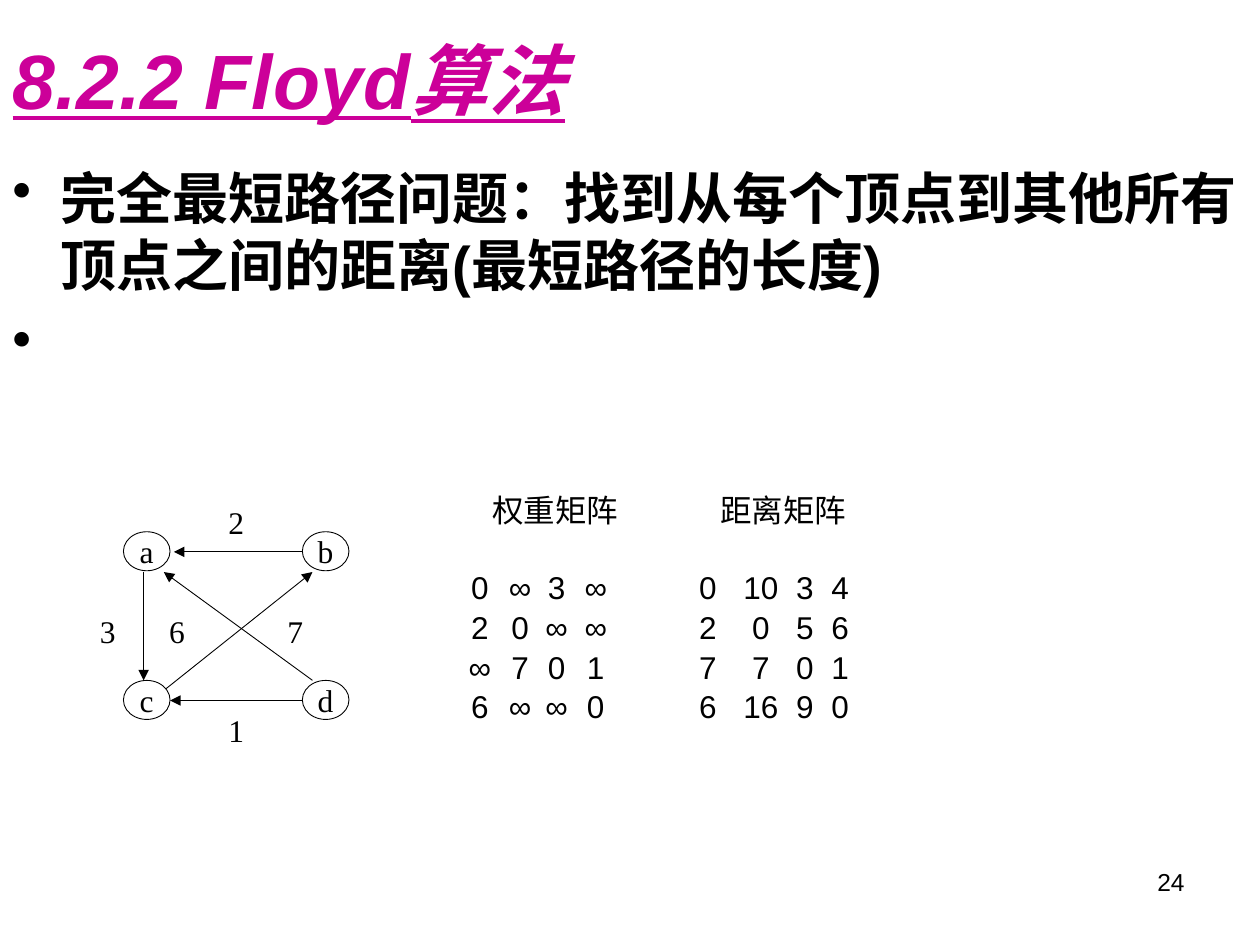
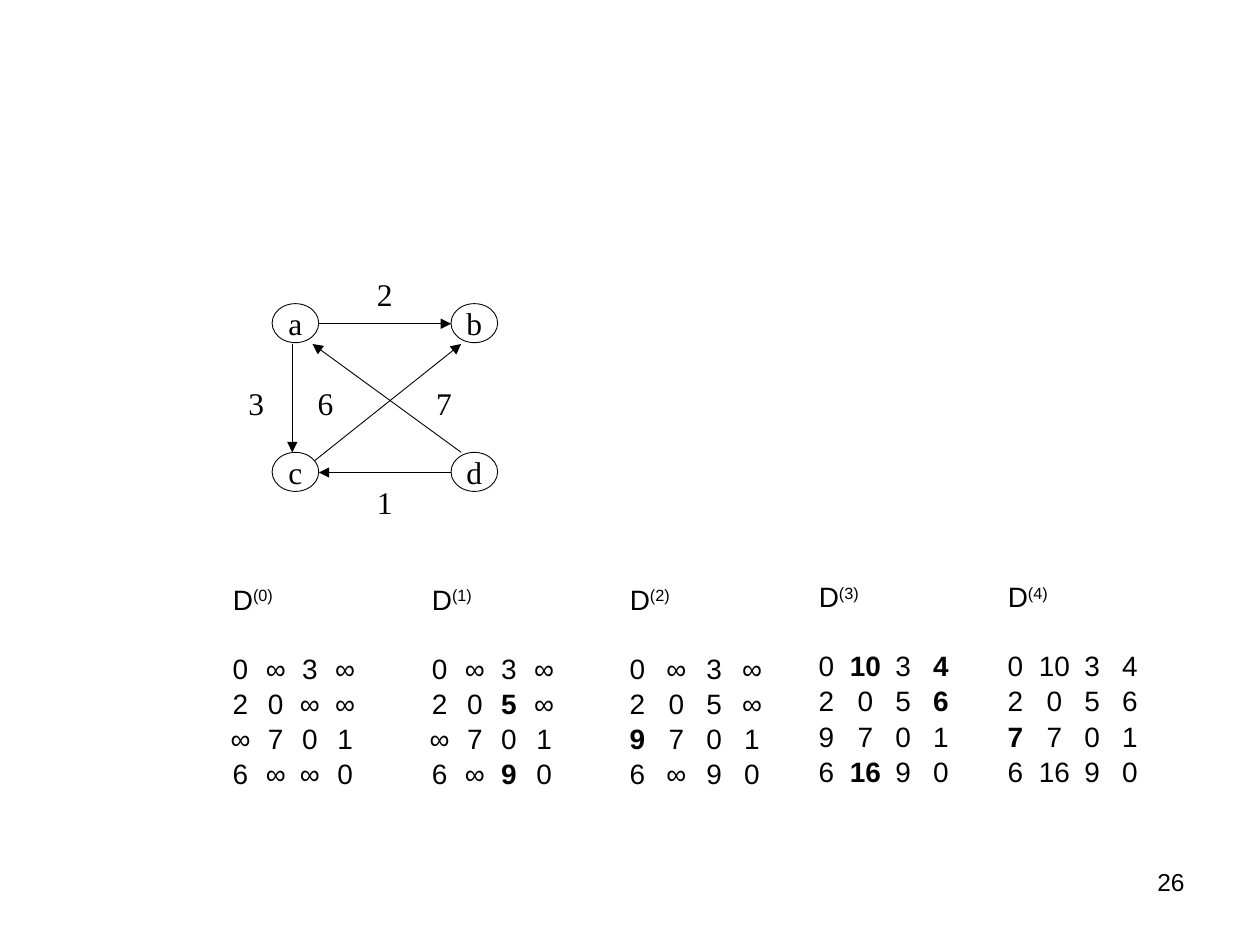
from dataclasses import dataclass

from lxml import etree
from pptx import Presentation
from pptx.dml.color import RGBColor
from pptx.enum.shapes import MSO_CONNECTOR, MSO_SHAPE
from pptx.enum.text import MSO_ANCHOR, PP_ALIGN
from pptx.oxml.ns import qn
from pptx.util import Inches, Pt

TITLE_ONLY, BLANK = 5, 6


@dataclass(frozen=True)
class Theme:
    ink: RGBColor = RGBColor(0, 0, 0)
    paper: RGBColor = RGBColor(255, 255, 255)
    accent: RGBColor = RGBColor(0xCC, 0x00, 0x99)
    sans: str = "Arial"
    serif: str = "Times New Roman"
    title_size: int = 44
    body_size: int = 32
    graph_size: int = 18
    page_size: int = 14
    hairline: float = 0.5


NODE_SIZE = (0.37, 0.31)
# Offsets from the top left corner of node a
NODES = {"a": (0, 0), "b": (1.42, 0), "c": (0, 1.18), "d": (1.42, 1.18)}
WEIGHTS = {"2": (0.71, -0.23), "3": (-0.31, 0.63), "6": (0.24, 0.63),
           "7": (1.18, 0.63), "1": (0.71, 1.42)}
EDGES = [
    ((1.42, 1.34), (0.37, 1.34)),  # d to c
    ((0.16, 0.32), (0.16, 1.18)),  # a to c
    ((1.5, 1.18), (0.32, 0.32)),   # d to a
    ((0.32, 1.26), (1.5, 0.32)),   # c to b
]


class SlideBuilder:
    def __init__(self, presentation, theme):
        self.presentation = presentation
        self.theme = theme
        self.slide = None

    def new_slide(self, layout, page):
        self.slide = self.presentation.slides.add_slide(
            self.presentation.slide_layouts[layout])
        paragraph = self.text_box(7.17, 6.83, 2.33, 0.52).paragraphs[0]
        paragraph.text = page
        paragraph.alignment = PP_ALIGN.RIGHT
        self.style(paragraph, self.theme.page_size)

    def style(self, paragraph, size, name=None, color=None):
        font = paragraph.font
        font.size = Pt(size)
        font.name = name or self.theme.sans
        font.color.rgb = color or self.theme.ink
        return font

    def text_box(self, left, top, width, height):
        frame = self.slide.shapes.add_textbox(
            Inches(left), Inches(top), Inches(width), Inches(height)).text_frame
        frame.word_wrap = True
        return frame

    def title(self, text):
        shape = self.slide.shapes.title
        shape.left, shape.top = Inches(0), Inches(0)
        shape.width, shape.height = Inches(10), Inches(1.25)
        shape.text_frame.vertical_anchor = MSO_ANCHOR.MIDDLE
        paragraph = shape.text_frame.paragraphs[0]
        paragraph.text = text
        paragraph.alignment = PP_ALIGN.LEFT
        font = self.style(paragraph, self.theme.title_size, color=self.theme.accent)
        font.bold = font.italic = font.underline = True

    def bullets(self, texts):
        frame = self.text_box(0, 1.25, 10, 6.25)
        for index, text in enumerate(texts):
            paragraph = frame.add_paragraph() if index else frame.paragraphs[0]
            paragraph.text = text
            if index:
                paragraph.space_before = Pt(8)
            properties = paragraph._p.get_or_add_pPr()
            properties.set("marL", str(Inches(0.38)))
            properties.set("indent", str(-Inches(0.38)))
            etree.SubElement(properties, qn("a:buChar"), char="•")
            self.style(paragraph, self.theme.body_size).bold = True

    def ellipse(self, text, left, top, outline):
        shape = self.slide.shapes.add_shape(
            MSO_SHAPE.OVAL, Inches(left), Inches(top), *map(Inches, NODE_SIZE))
        shape.shadow.inherit = False
        shape.fill.solid()
        shape.fill.fore_color.rgb = self.theme.paper
        shape.line.color.rgb = outline
        shape.line.width = Pt(self.theme.hairline)
        frame = shape.text_frame
        frame.word_wrap = False
        frame.vertical_anchor = MSO_ANCHOR.MIDDLE
        paragraph = frame.paragraphs[0]
        paragraph.text = text
        paragraph.alignment = PP_ALIGN.CENTER
        self.style(paragraph, self.theme.graph_size, self.theme.serif)

    def arrow(self, start, end):
        connector = self.slide.shapes.add_connector(
            MSO_CONNECTOR.STRAIGHT, *map(Inches, (*start, *end)))
        connector.line.color.rgb = self.theme.ink
        connector.line.width = Pt(self.theme.hairline)
        line = connector.line._get_or_add_ln()
        etree.SubElement(line, qn("a:tailEnd"), type="triangle")
        etree.SubElement(connector._element.spPr, qn("a:effectLst"))

    def graph(self, left, top, top_edge):
        """Draw the four-node graph with node a at (left, top)."""
        for ends in [top_edge, *EDGES]:
            self.arrow(*((left + x, top + y) for x, y in ends))
        for labels, outline in ((NODES, self.theme.ink), (WEIGHTS, self.theme.paper)):
            for text, (x, y) in labels.items():
                self.ellipse(text, left + x, top + y, outline)

    def matrix(self, left, top, heading, rows, columns, size, indent, power=""):
        """Set rows on centred tab stops; a cell that starts with * is bold."""
        frame = self.text_box(left, top, 1.57, 1.75)
        paragraph = frame.paragraphs[0]
        paragraph.add_run().text = heading
        if power:
            run = paragraph.add_run()
            run.text = power
            run.font._element.set("baseline", "30000")
        paragraph._p.get_or_add_pPr().set("marL", str(Inches(indent)))
        paragraph.line_spacing = 1.05
        self.style(paragraph, size)
        for index, row in enumerate(rows):
            paragraph = frame.add_paragraph()
            paragraph.line_spacing = 1.05
            if index == 0:
                paragraph.space_before = Pt(1.2 * size)
            stops = etree.SubElement(paragraph._p.get_or_add_pPr(), qn("a:tabLst"))
            for column in columns:
                etree.SubElement(stops, qn("a:tab"), pos=str(Inches(column)), algn="ctr")
            for cell in row.split():
                run = paragraph.add_run()
                run.text = "\t" + cell.lstrip("*")
                if cell.startswith("*"):
                    run.font.bold = True
            self.style(paragraph, size)


def build_problem_slide(builder):
    builder.new_slide(TITLE_ONLY, "24")
    builder.title("8.2.2 Floyd算法")
    builder.bullets(
        ["完全最短路径问题：找到从每个顶点到其他所有顶点之间的距离(最短路径的长度)", " "])
    builder.graph(0.98, 4.22, ((1.42, 0.16), (0.4, 0.16)))
    matrices = [
        (3.58, "权重矩阵", ["0 ∞ 3 ∞", "2 0 ∞ ∞", "∞ 7 0 1", "6 ∞ ∞ 0"],
         (0.13, 0.45, 0.74, 1.05)),
        (5.39, "距离矩阵", ["0 10 3 4", "2 0 5 6", "7 7 0 1", "6 16 9 0"],
         (0.13, 0.55, 0.9, 1.18)),
    ]
    for left, heading, rows, columns in matrices:
        builder.matrix(left, 3.83, heading, rows, columns, size=18, indent=0.23)


def build_steps_slide(builder):
    builder.new_slide(BLANK, "26")
    builder.graph(2.16, 2.41, ((0.37, 0.16), (1.42, 0.16)))
    narrow, wide = (0.12, 0.4, 0.67, 0.95), (0.12, 0.43, 0.73, 1.03)
    steps = [
        (1.69, 4.56, narrow, ["0 ∞ 3 ∞", "2 0 ∞ ∞", "∞ 7 0 1", "6 ∞ ∞ 0"]),
        (3.27, 4.56, narrow, ["0 ∞ 3 ∞", "2 0 *5 ∞", "∞ 7 0 1", "6 ∞ *9 0"]),
        (4.84, 4.56, wide, ["0 ∞ 3 ∞", "2 0 5 ∞", "*9 7 0 1", "6 ∞ 9 0"]),
        (6.34, 4.54, wide, ["0 *10 3 *4", "2 0 5 *6", "9 7 0 1", "6 *16 9 0"]),
        (7.84, 4.54, wide, ["0 10 3 4", "2 0 5 6", "*7 7 0 1", "6 16 9 0"]),
    ]
    for step, (left, top, columns, rows) in enumerate(steps):
        builder.matrix(left, top, "D", rows, columns, size=16, indent=0.06,
                       power=f"({step})")


def main():
    presentation = Presentation()
    presentation.slide_width, presentation.slide_height = Inches(10), Inches(7.5)
    builder = SlideBuilder(presentation, Theme())
    build_problem_slide(builder)
    build_steps_slide(builder)
    presentation.save("out.pptx")


if __name__ == "__main__":
    main()
